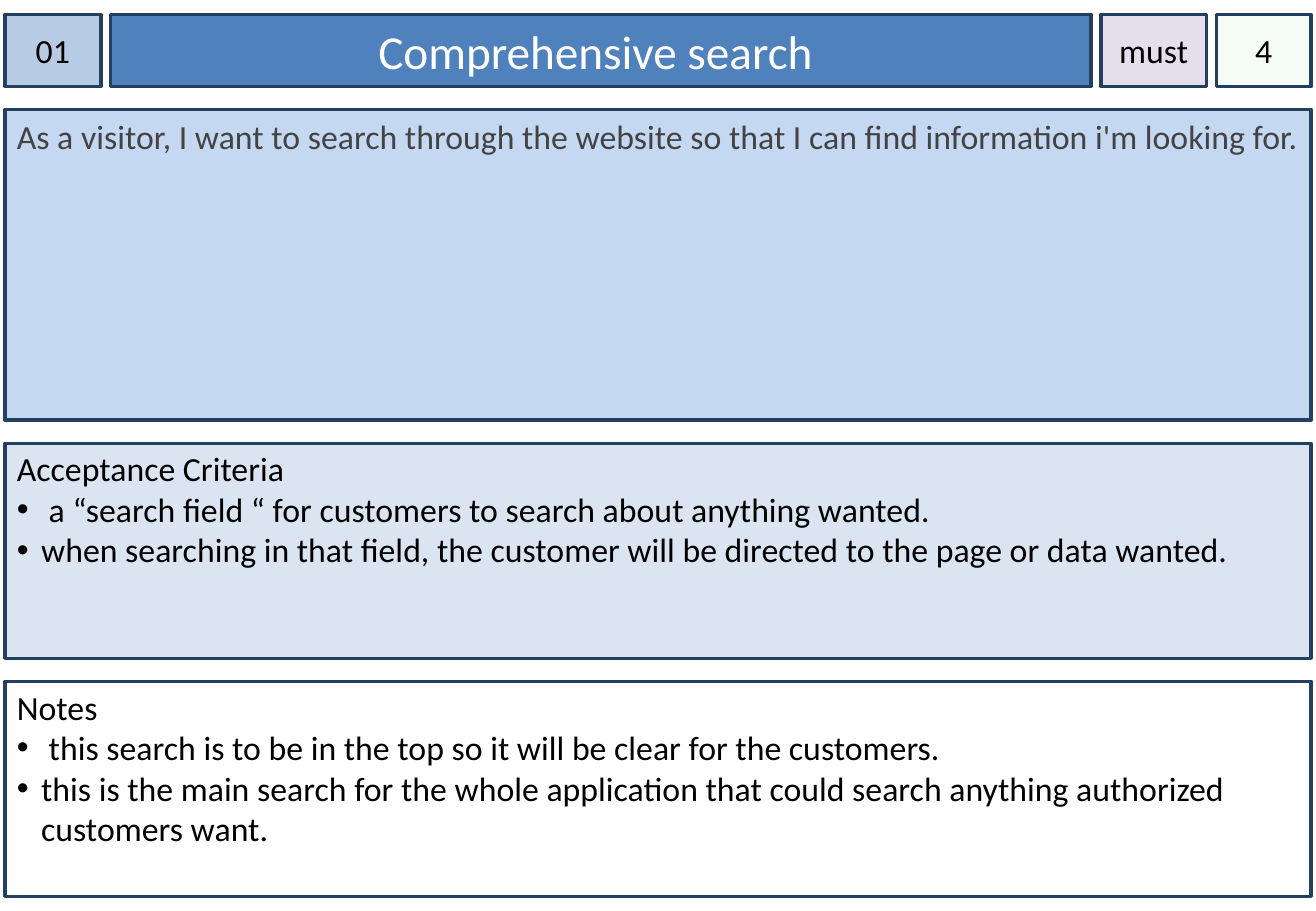
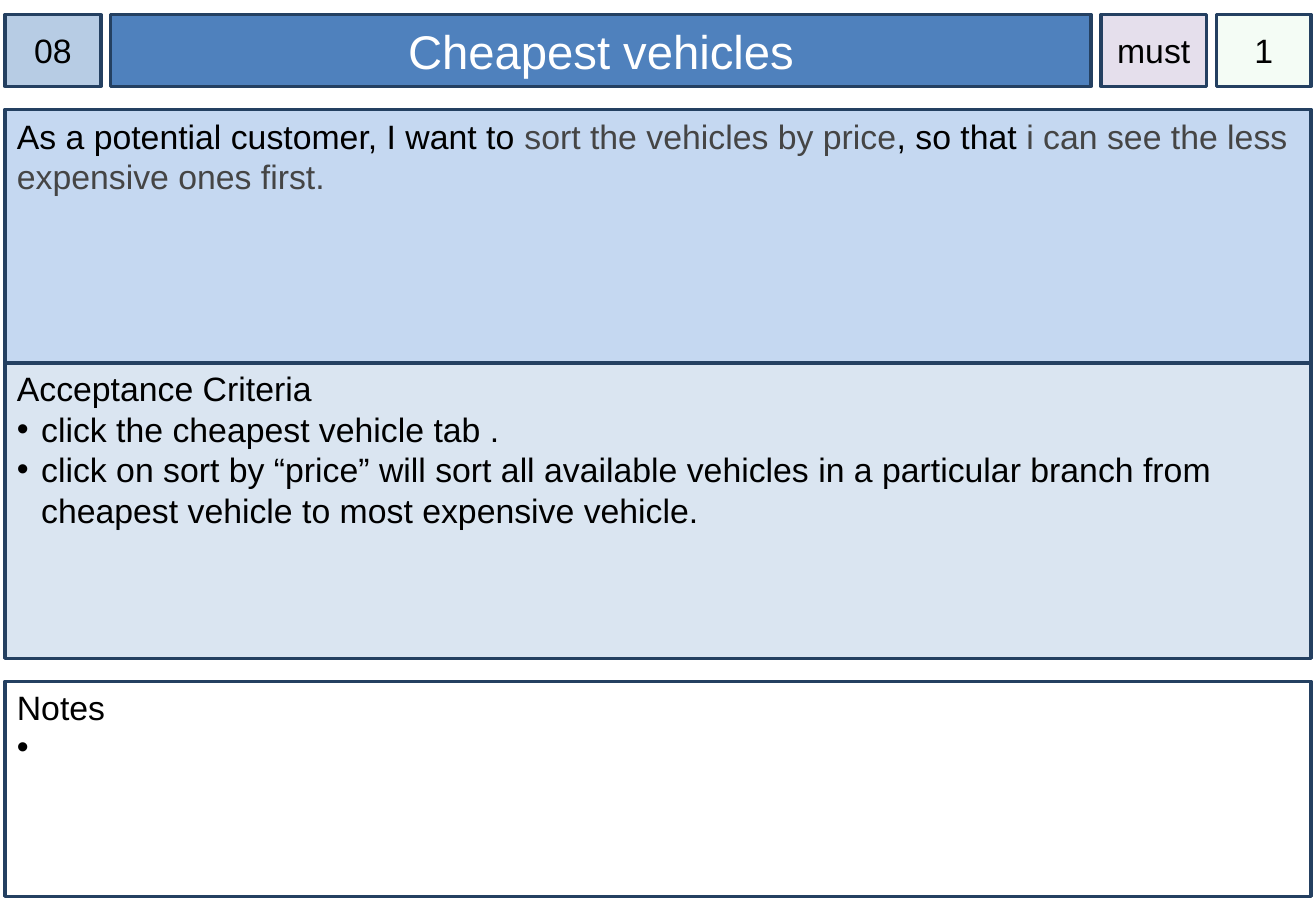
from dataclasses import dataclass

from lxml import etree
from pptx import Presentation
from pptx.dml.color import RGBColor
from pptx.enum.shapes import MSO_SHAPE
from pptx.enum.text import MSO_ANCHOR, PP_ALIGN
from pptx.oxml.ns import qn
from pptx.util import Inches, Pt

RECT = MSO_SHAPE.RECTANGLE
TOP, MIDDLE = MSO_ANCHOR.TOP, MSO_ANCHOR.MIDDLE
LEFT, CENTER = PP_ALIGN.LEFT, PP_ALIGN.CENTER


@dataclass(frozen=True)
class Theme:
    edge: str = "244061"
    ink: str = "000000"
    white: str = "FFFFFF"
    number: str = "B7CCE4"
    title: str = "4F81BD"
    rank: str = "E5DFEC"
    points: str = "CCF0CD"
    story: str = "C5D8F1"
    tests: str = "DAE5F1"
    body_size: int = 20
    title_size: int = 28
    line: int = 2


THEME = Theme()

CARDS = [
    dict(
        font="Calibri", number="01", title="Comprehensive search ",
        rank="must", points="4", story_end=3.46, tests_top=3.65,
        story=[("As a visitor, I want to search through the website so that "
                "I can find information i'm looking for.", "434343")],
        tests=[" a “search field “ for customers to search about anything wanted.",
               "when searching in that field, the customer will be directed "
               "to the page or data wanted."],
        notes=[" this search is to be in the top so it will be clear for the customers.",
               "this is the main search for the whole application that could "
               "search anything authorized customers want."],
    ),
    dict(
        font="Arial", number="08", title="Cheapest vehicles",
        rank="must", points="1", story_end=2.99, tests_top=2.99,
        story=[("As a potential customer, I want to ", THEME.ink),
               ("sort the vehicles by price", "454545"),
               (", so that ", THEME.ink),
               ("i can see the less expensive ones first.", "454545")],
        tests=["click the cheapest vehicle tab .",
               "click on sort by “price” will sort all available vehicles in a "
               "particular branch from cheapest vehicle to most expensive vehicle."],
        notes=[" "],
    ),
]

EDGE, GAP, WIDTH = 0.04, 0.08, 10.75
HEAD_TOP, HEAD_TALL = 0.12, 0.59
STORY_TOP, TESTS_END = 0.9, 5.42
NOTES_TOP, NOTES_END = 5.61, 7.38
HEAD = [
    ("number", 0.79, dict(fill=THEME.number)),
    ("title", 8.07, dict(fill=THEME.title, color=THEME.white,
                         size=THEME.title_size, side=0.1)),
    ("rank", 0.87, dict(fill=THEME.rank)),
    ("points", 0.78, dict(fill=THEME.points, alpha=20)),
]


def add_box(slide, left, top, width, height, fill, alpha=100):
    box = slide.shapes.add_shape(
        RECT, Inches(left), Inches(top), Inches(width), Inches(height))
    box.shadow.inherit = False
    box.fill.solid()
    box.fill.fore_color.rgb = RGBColor.from_string(fill)
    if alpha < 100:
        color = box.fill._xPr.find(".//" + qn("a:srgbClr"))
        etree.SubElement(color, qn("a:alpha"), val=str(alpha * 1000))
    box.line.color.rgb = RGBColor.from_string(THEME.edge)
    box.line.width = Pt(THEME.line)
    return box


def add_bullet(para):
    props = para._p.get_or_add_pPr()
    props.set("marL", str(Inches(0.2)))
    props.set("indent", str(-Inches(0.2)))
    tint = etree.SubElement(props, qn("a:buClr"))
    etree.SubElement(tint, qn("a:srgbClr"), val=THEME.ink)
    etree.SubElement(props, qn("a:buFont"), typeface="Arial")
    etree.SubElement(props, qn("a:buChar"), char="•")


def write(box, lines, font, size=THEME.body_size, color=THEME.ink,
          align=LEFT, anchor=TOP, side=0.1, top=0.05):
    frame = box.text_frame
    frame.word_wrap = True
    frame.vertical_anchor = anchor
    frame.margin_left = frame.margin_right = Inches(side)
    frame.margin_top, frame.margin_bottom = Inches(top), Inches(0.05)
    for row, parts in enumerate(lines):
        para = frame.add_paragraph() if row else frame.paragraphs[0]
        para.alignment = align
        if row:
            add_bullet(para)
        if isinstance(parts, str):
            parts = [(parts, color)]
        for text, tint in parts:
            run = para.add_run()
            run.text = text
            run.font.name, run.font.size = font, Pt(size)
            run.font.color.rgb = RGBColor.from_string(tint)


def add_head(slide, card):
    left = EDGE
    for key, width, look in HEAD:
        style = dict(side=0) | look
        box = add_box(slide, left, HEAD_TOP, width, HEAD_TALL,
                      style.pop("fill"), style.pop("alpha", 100))
        write(box, [card[key]], card["font"], align=CENTER, anchor=MIDDLE, **style)
        left += width + GAP


def add_panels(slide, card):
    panels = [
        (STORY_TOP, card["story_end"], THEME.story, [card["story"]], 0.05),
        (card["tests_top"], TESTS_END, THEME.tests,
         ["Acceptance Criteria", *card["tests"]], 0.04),
        (NOTES_TOP, NOTES_END, THEME.white, ["Notes", *card["notes"]], 0.04),
    ]
    for top, end, fill, lines, inset in panels:
        box = add_box(slide, EDGE, top, WIDTH, end - top, fill)
        write(box, lines, card["font"], top=inset)


def main():
    deck = Presentation()
    deck.slide_width, deck.slide_height = Inches(10.83), Inches(7.5)
    for card in CARDS:
        slide = deck.slides.add_slide(deck.slide_layouts[6])
        add_head(slide, card)
        add_panels(slide, card)
    deck.save("out.pptx")


if __name__ == "__main__":
    main()
